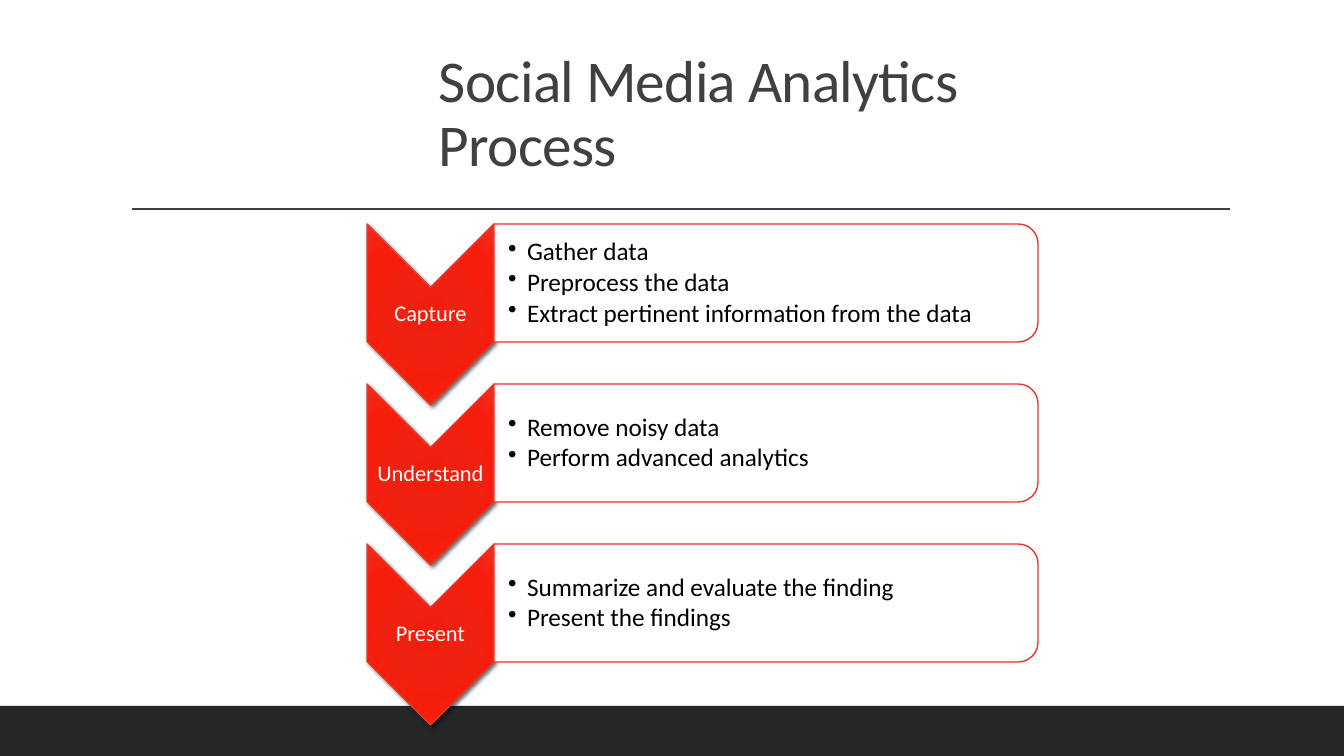
from dataclasses import dataclass

from pptx import Presentation, util as u
from pptx.dml.color import RGBColor
from pptx.enum import shapes, text
from pptx.oxml import parse_xml
from pptx.oxml.ns import nsdecls, qn
from pptx.oxml.xmlchemy import OxmlElement
from pptx.shapes.autoshape import Shape
from pptx.slide import Slide
from pptx.text.text import _Paragraph as Paragraph

PX_PER_INCH = 100.8
FONT = "Calibri"
WHITE = RGBColor(0xFF, 0xFF, 0xFF)
BLACK = RGBColor(0, 0, 0)
CHARCOAL = RGBColor(0x26, 0x26, 0x26)
GREY = RGBColor(0x40, 0x40, 0x40)
RED = RGBColor(0xE7, 0x37, 0x29)
RED_STOPS = (
    (0, RGBColor(0xF2, 0x1D, 0x0C)),
    (34, RGBColor(0xF0, 0x21, 0x10)),
    (70, RGBColor(0xF8, 0x1D, 0x0C)),
    (100, RGBColor(0xF0, 0x2F, 0x20)),
)
FIRST_TOP = 224
STEP_PITCH = 160
BULLET_INDENT = 19


@dataclass(frozen=True)
class Step:
    name: str
    points: tuple[str, ...]


@dataclass(frozen=True)
class Area:
    left: int
    top: int
    width: int
    height: int

    def emu(self) -> tuple[u.Emu, ...]:
        return tuple(px(n) for n in (self.left, self.top, self.width, self.height))

    def turned(self) -> "Area":
        shift = (self.width - self.height) // 2
        return Area(self.left + shift, self.top - shift, self.height, self.width)


STEPS = (
    Step("Capture", ("Gather data", "Preprocess the data",
                     "Extract pertinent information from the data")),
    Step("Understand", ("Remove noisy data", "Perform advanced analytics")),
    Step("Present", ("Summarize and evaluate the finding", "Present the findings")),
)


def px(length: int) -> u.Emu:
    return u.Inches(length / PX_PER_INCH)


def add_block(page: Slide, kind: shapes.MSO_SHAPE, area: Area, fill: RGBColor) -> Shape:
    block = page.shapes.add_shape(kind, *area.emu())
    block.shadow.inherit = False
    block.fill.solid()
    block.fill.fore_color.rgb = fill
    block.line.fill.background()
    return block


def add_turned_block(page: Slide, kind: shapes.MSO_SHAPE, area: Area) -> Shape:
    block = add_block(page, kind, area.turned(), WHITE)
    block.rotation = 90
    block.line.color.rgb = RED
    block.line.width = u.Pt(1)
    return block


def add_chevron(page: Slide, area: Area) -> None:
    properties = add_turned_block(page, shapes.MSO_SHAPE.CHEVRON, area)._element.spPr
    stops = "".join(
        f'<a:gs pos="{place * 1000}"><a:srgbClr val="{color}"/></a:gs>'
        for place, color in RED_STOPS
    )
    gradient = parse_xml(
        f'<a:gradFill {nsdecls("a")} rotWithShape="1"><a:gsLst>{stops}</a:gsLst>'
        '<a:path path="circle">'
        '<a:fillToRect l="100000" t="100000" r="100000" b="100000"/>'
        '</a:path></a:gradFill>'
    )
    properties.replace(properties.find(qn("a:solidFill")), gradient)
    properties.find(qn("a:effectLst")).append(parse_xml(
        f'<a:outerShdw {nsdecls("a")} blurRad="{u.Pt(3)}" dist="{u.Pt(2)}" '
        'dir="2700000" rotWithShape="0"><a:srgbClr val="000000">'
        '<a:alpha val="60000"/></a:srgbClr></a:outerShdw>'
    ))


def add_panel(page: Slide, area: Area) -> None:
    panel = add_turned_block(page, shapes.MSO_SHAPE.ROUND_2_SAME_RECTANGLE, area)
    alpha = OxmlElement("a:alpha")
    alpha.set("val", "90000")
    panel._element.spPr.find(qn("a:solidFill"))[0].append(alpha)


def add_text_box(page: Slide, area: Area, anchor: text.MSO_ANCHOR,
                 margins: tuple[int, int, int, int]) -> Shape:
    box = page.shapes.add_textbox(*area.emu())
    frame = box.text_frame
    frame.word_wrap = True
    frame.vertical_anchor = anchor
    (frame.margin_left, frame.margin_top,
     frame.margin_right, frame.margin_bottom) = map(px, margins)
    return box


def write(para: Paragraph, words: str, size: float, color: RGBColor) -> None:
    para.line_spacing = 0.9
    span = para.add_run()
    span.text = words
    span.font.name = FONT
    span.font.size = u.Pt(size)
    span.font.color.rgb = color


def add_title(page: Slide, words: str) -> None:
    box = add_text_box(page, Area(429, 86, 545, 98), text.MSO_ANCHOR.BOTTOM, (10, 5, 10, 5))
    para = box.text_frame.paragraphs[0]
    write(para, words, 42.3, GREY)
    para.runs[0].font._element.set("spc", "-50")


def add_label(page: Slide, area: Area, words: str) -> None:
    box = add_text_box(page, area, text.MSO_ANCHOR.MIDDLE, (1, 1, 1, 1))
    para = box.text_frame.paragraphs[0]
    para.alignment = text.PP_ALIGN.CENTER
    write(para, words, 16, WHITE)


def add_points(page: Slide, area: Area, points: tuple[str, ...]) -> None:
    frame = add_text_box(page, area, text.MSO_ANCHOR.MIDDLE, (14, 1, 1, 1)).text_frame
    for index, point in enumerate(points):
        para = frame.add_paragraph() if index else frame.paragraphs[0]
        para.level = 1
        properties = para._p.get_or_add_pPr()
        properties.set("marL", str(px(BULLET_INDENT)))
        properties.set("indent", str(-px(BULLET_INDENT)))
        bullet = OxmlElement("a:buChar")
        bullet.set("char", "•")
        properties.append(bullet)
        para.space_after = u.Pt(2.5)
        write(para, point, 18, BLACK)


def add_step(page: Slide, step: Step, top: int) -> None:
    add_chevron(page, Area(367, top, 127, 181))
    add_label(page, Area(367, top + 63, 127, 54), step.name)
    add_panel(page, Area(494, top, 544, 118))
    add_points(page, Area(494, top + 6, 538, 107), step.points)


def add_rule(page: Slide) -> None:
    rule = page.shapes.add_connector(
        shapes.MSO_CONNECTOR.STRAIGHT, px(132), px(209), px(1230), px(209))
    rule.line.color.rgb = GREY
    rule.line.width = u.Pt(1)
    rule._element.spPr.append(OxmlElement("a:effectLst"))


def main() -> None:
    deck = Presentation()
    deck.slide_width, deck.slide_height = px(1344), px(756)
    page = deck.slides.add_slide(deck.slide_layouts[6])
    add_block(page, shapes.MSO_SHAPE.RECTANGLE, Area(0, 706, 1344, 50), CHARCOAL)
    add_rule(page)
    add_title(page, "Social Media Analytics Process")
    for index, step in enumerate(STEPS):
        add_step(page, step, FIRST_TOP + index * STEP_PITCH)
    deck.save("out.pptx")


if __name__ == "__main__":
    main()
